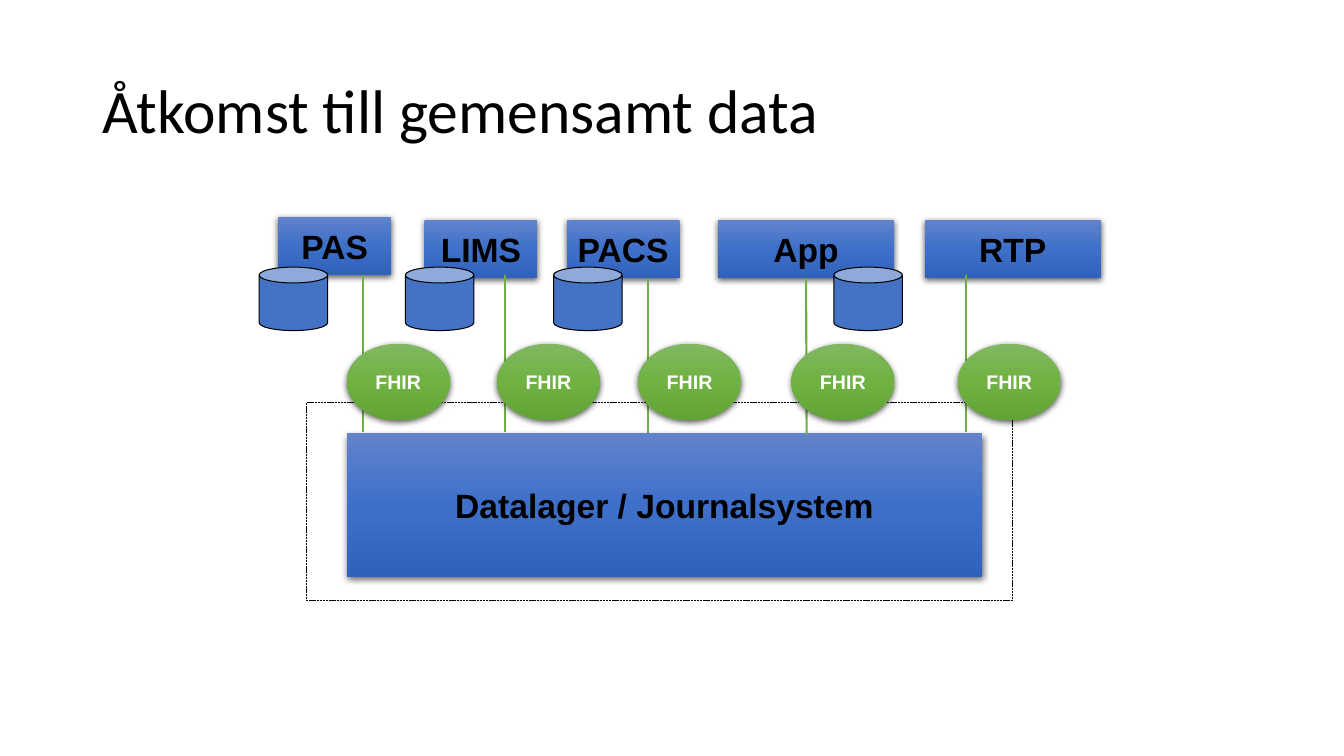
"""Build the slide on systems that share one data layer through FHIR."""
from dataclasses import dataclass

from lxml import etree
from pptx import Presentation
from pptx import util as u
from pptx.dml.color import RGBColor
from pptx.enum import dml, shapes, text
from pptx.oxml import ns


@dataclass(frozen=True)
class Theme:
    black: str = "000000"
    white: str = "FFFFFF"
    blue: str = "4472C4"
    green: str = "70AD47"
    blues: tuple = ("6183CB", "3E70CA", "3062BB")
    greens: tuple = ("81B861", "6FB242", "62A336")
    head: int = 44
    body: int = 24
    small: int = 14
    sans: str = "Arial"
    title: str = "Calibri"


theme = Theme()
kinds = shapes.MSO_SHAPE


def write(shape, words, size, face, color, bold, align):
    """Put one formatted run in the middle of a shape."""
    frame = shape.text_frame
    frame.word_wrap = True
    frame.auto_size = text.MSO_AUTO_SIZE.NONE
    frame.vertical_anchor = text.MSO_ANCHOR.MIDDLE
    para = frame.paragraphs[0]
    para.alignment = align
    run = para.add_run()
    run.text = words
    run.font.size = u.Pt(size)
    run.font.name = face
    run.font.bold = bold
    run.font.color.rgb = RGBColor.from_string(color)


def block(kind, box, stops, words, size, color):
    """Add a labelled shape with a gradient and a soft shadow."""
    shape = slide.shapes.add_shape(kind, *map(u.Inches, box))
    props = shape._element.spPr
    grad = etree.SubElement(props, ns.qn("a:gradFill"), rotWithShape="1")
    steps = etree.SubElement(grad, ns.qn("a:gsLst"))
    for i, stop in enumerate(stops):
        step = etree.SubElement(steps, ns.qn("a:gs"), pos=str(i * 50000))
        etree.SubElement(step, ns.qn("a:srgbClr"), val=stop)
    etree.SubElement(grad, ns.qn("a:lin"), ang="5400000", scaled="0")
    shape.line.fill.background()
    shape.shadow.inherit = False
    glow = etree.SubElement(
        props.find(ns.qn("a:effectLst")), ns.qn("a:outerShdw"),
        blurRad=str(u.Pt(4.5)), dist=str(u.Pt(1.5)), dir="5400000",
        algn="ctr", rotWithShape="0")
    tint = etree.SubElement(glow, ns.qn("a:srgbClr"), val=theme.black)
    etree.SubElement(tint, ns.qn("a:alpha"), val="63000")
    frame = shape.text_frame
    frame.margin_left = frame.margin_right = u.Inches(0.05)
    write(shape, words, size, theme.sans, color, True, text.PP_ALIGN.CENTER)
    return shape


deck = Presentation()
deck.slide_width = u.Inches(13.33)
deck.slide_height = u.Inches(7.5)
slide = deck.slides.add_slide(deck.slide_layouts[5])

title = slide.shapes.title
title.left, title.top = u.Inches(0.92), u.Inches(0.4)
title.width, title.height = u.Inches(11.5), u.Inches(1.45)
write(title, "Åtkomst till gemensamt data", theme.head, theme.title,
      theme.black, False, text.PP_ALIGN.LEFT)
title.text_frame.paragraphs[0].line_spacing = 0.9

block(kinds.RECTANGLE, (3.44, 4.3, 6.3, 1.42), theme.blues,
      "Datalager / Journalsystem", theme.body, theme.black)

frame = slide.shapes.add_shape(
    kinds.RECTANGLE, *map(u.Inches, (3.04, 3.99, 7, 1.97)))
frame.fill.background()
frame.line.color.rgb = RGBColor.from_string(theme.black)
frame.line.width = u.Pt(0.5)
frame.line.dash_style = dml.MSO_LINE.SQUARE_DOT
frame.shadow.inherit = False

cards = {}
for name, left, top, width in (
        ("PAS", 2.76, 2.15, 1.12), ("LIMS", 4.21, 2.18, 1.12),
        ("PACS", 5.62, 2.18, 1.12), ("App", 7.12, 2.18, 1.75),
        ("RTP", 9.17, 2.18, 1.75)):
    cards[name] = block(kinds.RECTANGLE, (left, top, width, 0.58),
                        theme.blues, name, theme.body, theme.black)

for left in (2.57, 4.02, 5.49, 8.27):
    store = slide.shapes.add_shape(
        kinds.CAN, *map(u.Inches, (left, 2.65, 0.68, 0.63)))
    store.fill.solid()
    store.fill.fore_color.rgb = RGBColor.from_string(theme.blue)
    store.line.color.rgb = RGBColor.from_string(theme.black)
    store.line.width = u.Pt(0.75)
    store.shadow.inherit = False

for name, x, low, high, left in (
        ("PAS", 3.6, 4.29, 2.73, 3.44), ("LIMS", 5.01, 4.29, 2.73, 4.93),
        ("PACS", 6.43, 4.3, 2.76, 6.33), ("App", 8, 4.32, 2.76, 7.85),
        ("RTP", 9.58, 4.29, 2.73, 9.5)):
    link = slide.shapes.add_connector(
        shapes.MSO_CONNECTOR.STRAIGHT, *map(u.Inches, (x, low, x, high)))
    link.line.color.rgb = RGBColor.from_string(theme.green)
    link.line.width = u.Pt(1.5)
    etree.SubElement(link._element.spPr, ns.qn("a:effectLst"))
    if name == "App":
        link.end_connect(cards[name], 2)
    block(kinds.OVAL, (left, 3.41, 1.02, 0.76), theme.greens,
          "FHIR", theme.small, theme.white)

deck.save("out.pptx")
